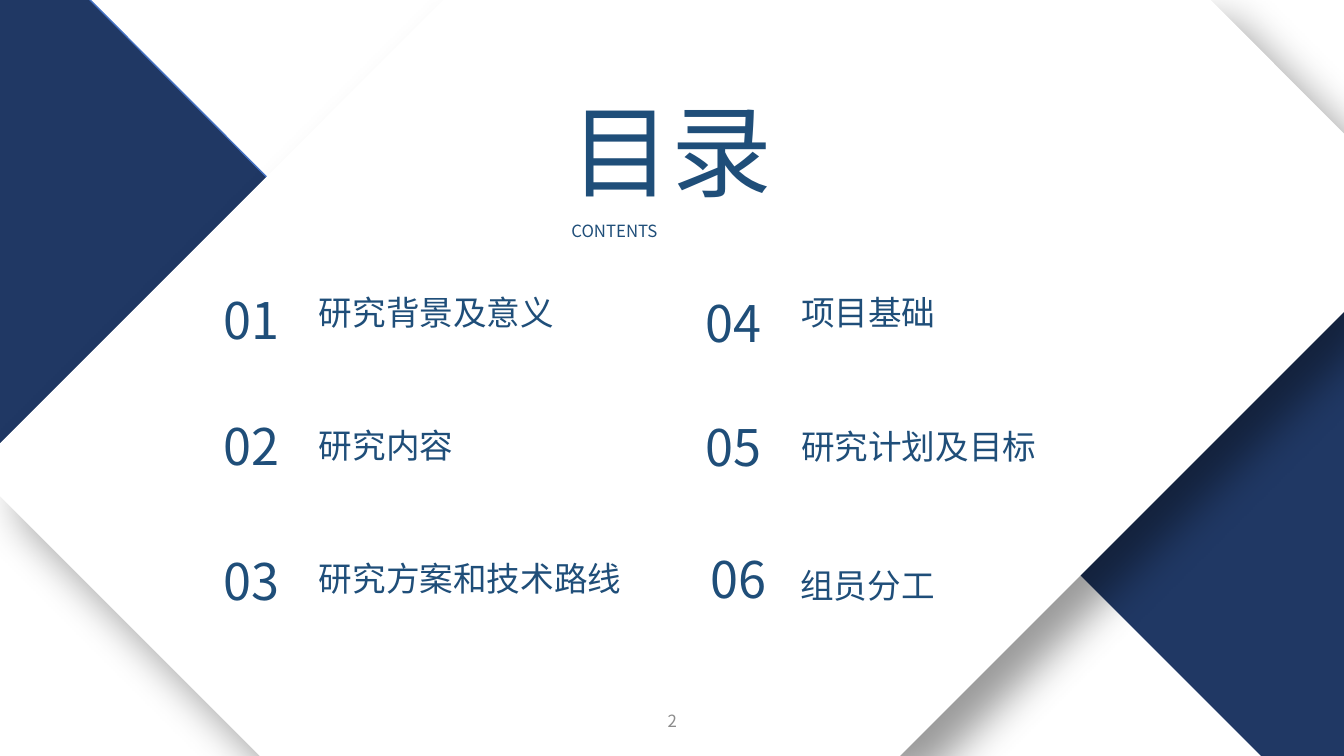
import math

from lxml import etree
from pptx import Presentation, util as u
from pptx.dml.color import RGBColor
from pptx.enum import text
from pptx.oxml import ns

NAVY = RGBColor(0x20, 0x38, 0x64)
EDGE_BLUE = RGBColor(0x44, 0x72, 0xC4)
TITLE_BLUE = RGBColor(0x1F, 0x4E, 0x79)
WHITE = RGBColor(0xFF, 0xFF, 0xFF)
GRAY = RGBColor(0x8C, 0x8C, 0x8C)

LEFT_CORNER = [(-0.03, 11.28), (-0.03, -0.03), (2.24, -0.03), (6.76, 4.5)]
RIGHT_CORNER = [(33.88, 19.05), (33.91, 7.62), (27.13, 14.4), (31.78, 19.05)]
CENTER_PANEL = [
    (-0.08, 11.25), (11.2, -0.03), (30.48, -0.03), (33.93, 3.43),
    (33.93, 7.8), (22.68, 19.05), (6.55, 19.05), (-0.08, 12.42),
]

NUMBER_SIZE, LABEL_SIZE = 36, 24
COLUMNS = [
    (5.38, [
        ("01", 7.16, "研究背景及意义", 7.24, 7.42),
        ("02", 10.34, "研究内容", 10.59, 8.69),
        ("03", 13.74, "研究方案和技术路线", 13.94, 11.28),
    ]),
    (17.53, [
        ("04", 7.24, "项目基础", 7.24, 9.22),
        ("05", 10.36, "研究计划及目标", 10.62, 9.22),
    ]),
]
NUMBER_WIDTH = 2.41


def turn(x, y, degrees):
    angle = math.radians(degrees)
    return (x * math.cos(angle) - y * math.sin(angle),
            x * math.sin(angle) + y * math.cos(angle))


class ContentsPage:
    font = "Noto Sans CJK SC"

    def __init__(self, deck):
        self.page = deck.slides.add_slide(deck.slide_layouts[6])
        self.page.background.fill.solid()
        self.page.background.fill.fore_color.rgb = WHITE

    def polygon(self, corners, rotation, fill, line=None):
        points = [tuple(u.Cm(v) for v in turn(x, y, -rotation)) for x, y in corners]
        builder = self.page.shapes.build_freeform(*points[0])
        builder.add_line_segments(points[1:], close=True)
        shape = builder.convert_to_shape()
        center_x, center_y = turn(shape.left + shape.width / 2,
                                  shape.top + shape.height / 2, rotation)
        shape.left = round(center_x - shape.width / 2)
        shape.top = round(center_y - shape.height / 2)
        shape.rotation = rotation
        shape.shadow.inherit = False
        shape.fill.solid()
        shape.fill.fore_color.rgb = fill
        if line is None:
            shape.line.fill.background()
        else:
            shape.line.color.rgb = line
            shape.line.width = u.Pt(1)
        return shape

    def shadow(self, shape, opacity, blur, distance, direction):
        effects = shape.fill._xPr.find(ns.qn("a:effectLst"))
        outer = etree.SubElement(
            effects, ns.qn("a:outerShdw"), blurRad=str(u.Pt(blur)),
            dist=str(u.Pt(distance)), dir=str(direction * 60000),
            algn="tl", rotWithShape="0")
        color = etree.SubElement(outer, ns.qn("a:srgbClr"), val="000000")
        etree.SubElement(color, ns.qn("a:alpha"), val=str(opacity * 1000))

    def label(self, place, spans, align=text.PP_ALIGN.LEFT, color=TITLE_BLUE, grow=True):
        box = self.page.shapes.add_textbox(*(u.Cm(v) for v in place))
        frame = box.text_frame
        frame.word_wrap = True
        if grow:
            frame.auto_size = text.MSO_AUTO_SIZE.SHAPE_TO_FIT_TEXT
        else:
            frame.vertical_anchor = text.MSO_ANCHOR.MIDDLE
        para = frame.paragraphs[0]
        para.alignment = align
        for words, size in spans:
            span = para.add_run()
            span.text = words
            span.font.size = u.Pt(size)
            span.font.name = self.font
            span.font.color.rgb = color
            etree.SubElement(span.font._element, ns.qn("a:ea"), typeface=self.font)
        return para

    def tab_stop(self, para, position):
        stops = etree.SubElement(para._p.get_or_add_pPr(), ns.qn("a:tabLst"))
        etree.SubElement(stops, ns.qn("a:tab"), pos=str(u.Cm(position)), algn="l")


def main():
    deck = Presentation()
    deck.slide_width, deck.slide_height = u.Cm(33.87), u.Cm(19.05)
    contents = ContentsPage(deck)

    contents.polygon(LEFT_CORNER, 225, NAVY, EDGE_BLUE)
    contents.polygon(RIGHT_CORNER, 315, NAVY)
    panel = contents.polygon(CENTER_PANEL, 315, WHITE)
    contents.shadow(panel, opacity=40, blur=31, distance=24, direction=45)

    contents.label((13.54, 2.11, 6.78, 3.33), [("目录", 72)], text.PP_ALIGN.CENTER)
    contents.label((14.15, 5.44, 5.59, 0.76), [("CONTENTS", 12)], text.PP_ALIGN.JUSTIFY)

    for left, entries in COLUMNS:
        for number, number_top, topic, topic_top, width in entries:
            contents.label((left, number_top, NUMBER_WIDTH, 1.8), [(number, NUMBER_SIZE)])
            contents.label((left + NUMBER_WIDTH, topic_top, width, 1.27), [(topic, LABEL_SIZE)])

    last_entry = contents.label((17.65, 13.69, 11.28, 1.8),
                                [("06\t", NUMBER_SIZE), ("组员分工", LABEL_SIZE)])
    contents.tab_stop(last_entry, 2.27)

    contents.label((13.13, 17.65, 7.62, 1.02), [("2", 12)],
                   text.PP_ALIGN.CENTER, GRAY, grow=False)
    deck.save("out.pptx")


if __name__ == "__main__":
    main()
